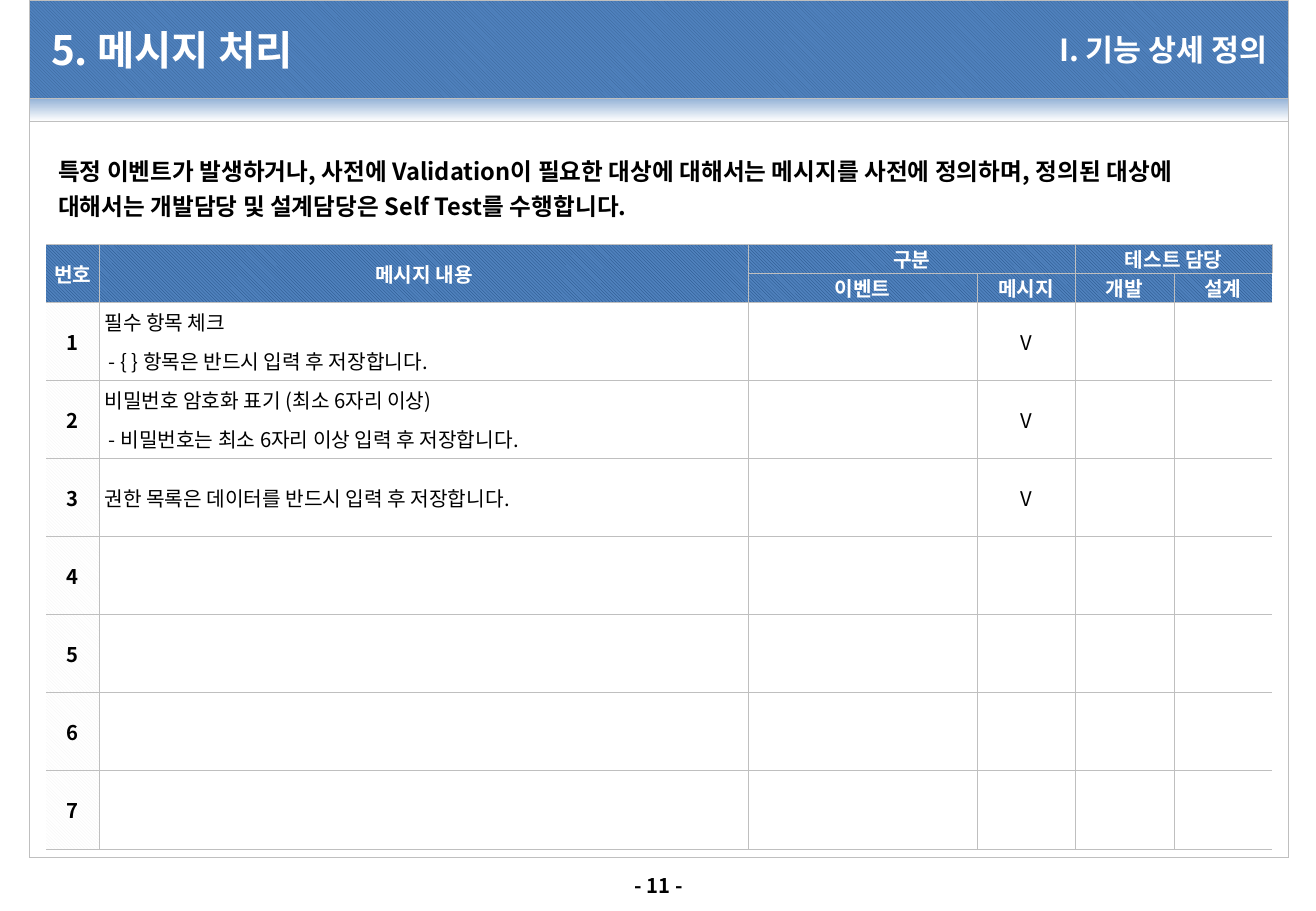
from dataclasses import dataclass

from lxml.etree import SubElement
from pptx import Presentation
from pptx.dml.color import RGBColor
from pptx.enum.dml import MSO_LINE, MSO_PATTERN
from pptx.enum.shapes import MSO_SHAPE
from pptx.enum.text import MSO_ANCHOR as Anchor, MSO_AUTO_SIZE, PP_ALIGN as Align
from pptx.oxml.ns import qn
from pptx.util import Inches, Pt


@dataclass(frozen=True)
class Theme:
    """Colours, font and type sizes of the slide."""
    font: str = "Noto Sans CJK KR"
    white: str = "FFFFFF"
    ink: str = "000000"
    rule: str = "BFBFBF"
    band: str = "4F81BD"
    band_hatch: str = "376092"
    head_hatch: str = "1F497D"
    number_hatch: str = "F2F2F2"
    glow: str = "95B3D7"
    title_size: int = 24
    section_size: int = 18
    lead_size: int = 14
    text_size: int = 12
    rule_width: float = 0.25


THEME = Theme()
rgb = RGBColor.from_string

HEAD_CELLS = [  # row, column, last row, last column, label
    (0, 0, 1, 0, "번호"),
    (0, 1, 1, 1, "메시지 내용"),
    (0, 2, 0, 3, "구분"),
    (0, 4, 0, 5, "테스트 담당"),
    (1, 2, 1, 2, "이벤트"),
    (1, 3, 1, 3, "메시지"),
    (1, 4, 1, 4, "개발"),
    (1, 5, 1, 5, "설계"),
]
MESSAGES = [
    "필수 항목 체크\n - { } 항목은 반드시 입력 후 저장합니다.",
    "비밀번호 암호화 표기 (최소 6자리 이상)\n - 비밀번호는 최소 6자리 이상 입력 후 저장합니다.",
    "권한 목록은 데이터를 반드시 입력 후 저장합니다.",
]
ROW_COUNT = 7
HEAD_ROWS = 2
COLUMN_WIDTHS = [0.44, 5.34, 1.88, 0.81, 0.81, 0.81]


def place(shape, box):
    """Move a shape to a box given in inches."""
    shape.left, shape.top, shape.width, shape.height = map(Inches, box)


def style_text(frame, size, color, bold=True, align=Align.LEFT):
    """Format every paragraph and run of a text frame."""
    for paragraph in frame.paragraphs:
        paragraph.alignment = align
        for run in paragraph.runs:
            run.font.name, run.font.size, run.font.bold = THEME.font, Pt(size), bold
            run.font.color.rgb = rgb(color)
            SubElement(run.font._element, qn("a:ea"), typeface=THEME.font)


def fill_hatch(fill, fore, back):
    """Fill with light downward diagonals."""
    fill.patterned()
    fill.pattern = MSO_PATTERN.LIGHT_DOWNWARD_DIAGONAL
    fill.fore_color.rgb, fill.back_color.rgb = rgb(fore), rgb(back)


def add_panel(slide, box):
    """Add a rectangle with a thin dotted outline."""
    panel = slide.shapes.add_shape(MSO_SHAPE.RECTANGLE, *map(Inches, box))
    panel.shadow.inherit = False
    panel.line.color.rgb = rgb(THEME.rule)
    panel.line.width = Pt(THEME.rule_width)
    panel.line.dash_style = MSO_LINE.ROUND_DOT
    return panel


def add_label(slide, box, text, size, color, align, anchor=Anchor.TOP):
    """Add a bold, wrapped text box."""
    label = slide.shapes.add_textbox(*map(Inches, box))
    frame = label.text_frame
    frame.word_wrap = True
    frame.vertical_anchor = anchor
    frame.text = text
    style_text(frame, size, color, align=align)
    return frame


def set_margins(frame, side, vertical):
    """Set the inner margins of a text frame or cell, in inches."""
    frame.margin_left = frame.margin_right = Inches(side)
    frame.margin_top = frame.margin_bottom = Inches(vertical)


def add_page_frame(slide, box):
    """Draw the glow strip, the content area and the page number."""
    left, top, width, height = box
    strip_height = 0.19
    glow = add_panel(slide, (left, top, width, strip_height))
    glow.fill.gradient()
    glow.fill.gradient_angle = 270
    for stop, color, position in zip(glow.fill.gradient_stops, (THEME.glow, THEME.white), (0, 1)):
        stop.color.rgb, stop.position = rgb(color), position
    content = add_panel(slide, (left, top + strip_height, width, height - strip_height))
    content.fill.solid()
    content.fill.fore_color.rgb = rgb(THEME.white)
    page_box = (left + width / 2 - 0.34, top + height + 0.08, 0.68, 0.3)
    add_label(slide, page_box, "- 11 -", THEME.text_size, THEME.ink, Align.CENTER)


def add_header(slide, box, heading, section):
    """Draw the hatched band with the slide title and the section name."""
    left, top, width, height = box
    band = add_panel(slide, box)
    fill_hatch(band.fill, THEME.band_hatch, THEME.band)
    section_width, title_width, pad = 3.4, 6.69, 0.14
    text_top, text_height = top + 0.08, height - 0.15

    title = slide.shapes.title
    slide.shapes._spTree.append(title._element)
    place(title, (left + pad, text_top, title_width, text_height))
    title.text_frame.text = heading
    title.text_frame.auto_size = MSO_AUTO_SIZE.NONE
    title.text_frame.vertical_anchor = Anchor.MIDDLE
    set_margins(title.text_frame, 0.04, 0.04)
    style_text(title.text_frame, THEME.title_size, THEME.white)

    section_box = (left + pad + title_width, text_top, section_width, text_height)
    section_frame = add_label(slide, section_box, section, THEME.section_size,
                              THEME.white, Align.RIGHT, Anchor.MIDDLE)
    set_margins(section_frame, 0.04, 0.04)


def add_lead(slide, box, text):
    """Add the introductory paragraph."""
    frame = add_label(slide, box, text, THEME.lead_size, THEME.ink, Align.LEFT)
    frame.margin_top = Inches(0.08)
    frame.paragraphs[0].line_spacing = 1.23


def rule_cell(cell, open_sides):
    """Draw thin borders on a cell, leaving the open sides bare."""
    properties = cell._tc.get_or_add_tcPr()
    for index, side in enumerate(("lnL", "lnR", "lnT", "lnB")):
        border = SubElement(properties, qn(f"a:{side}"), w=str(Pt(THEME.rule_width)))
        properties.insert(index, border)
        if side in open_sides:
            SubElement(border, qn("a:noFill"))
        else:
            paint = SubElement(border, qn("a:solidFill"))
            SubElement(paint, qn("a:srgbClr"), val=THEME.rule)


def write_cell(cell, text, color=THEME.ink, bold=False, align=Align.CENTER):
    """Put formatted text in a table cell."""
    cell.text_frame.text = text
    style_text(cell.text_frame, THEME.text_size, color, bold, align)
    for paragraph in cell.text_frame.paragraphs[1:]:
        paragraph.space_before = Pt(6)


def add_message_table(slide, box):
    """Build the message table with its two-level head."""
    row_total = HEAD_ROWS + ROW_COUNT
    table = slide.shapes.add_table(row_total, len(COLUMN_WIDTHS), *map(Inches, box)).table
    table.first_row = table.horz_banding = False
    head_height = 0.24
    body_height = (box[3] - HEAD_ROWS * head_height) / ROW_COUNT
    for column, width in zip(table.columns, COLUMN_WIDTHS):
        column.width = Inches(width)
    last_column = len(COLUMN_WIDTHS) - 1
    for r, row in enumerate(table.rows):
        row.height = Inches(head_height if r < HEAD_ROWS else body_height)
        for c, cell in enumerate(row.cells):
            cell.vertical_anchor = Anchor.MIDDLE
            set_margins(cell, 0.04, 0)
            if r < HEAD_ROWS:
                fill_hatch(cell.fill, THEME.head_hatch, THEME.band)
            elif c == 0:
                fill_hatch(cell.fill, THEME.number_hatch, THEME.white)
            else:
                cell.fill.solid()
                cell.fill.fore_color.rgb = rgb(THEME.white)
            rule_cell(cell, {0: ("lnL",), last_column: ("lnR",)}.get(c, ()))

    for top, left, bottom, right, label in HEAD_CELLS:
        if (top, left) != (bottom, right):
            table.cell(top, left).merge(table.cell(bottom, right))
        write_cell(table.cell(top, left), label, THEME.white, bold=True)
    for number in range(1, ROW_COUNT + 1):
        write_cell(table.cell(HEAD_ROWS + number - 1, 0), str(number), bold=True)
    for r, message in enumerate(MESSAGES, HEAD_ROWS):
        write_cell(table.cell(r, 1), message, align=Align.LEFT)
        write_cell(table.cell(r, 3), "V")


deck = Presentation()
deck.slide_width, deck.slide_height = Inches(10.83), Inches(7.5)
message_slide = deck.slides.add_slide(deck.slide_layouts[5])
add_page_frame(message_slide, (0.24, 0.81, 10.36, 6.25))
add_header(message_slide, (0.24, 0, 10.36, 0.81), "5. 메시지 처리", "I. 기능 상세 정의")
add_lead(message_slide, (0.38, 1.16, 10.09, 0.86),
         "특정 이벤트가 발생하거나, 사전에 Validation이 필요한 대상에 대해서는 메시지를 사전에 정의하며, "
         "정의된 대상에 대해서는 개발담당 및 설계담당은 Self Test를 수행합니다.")
add_message_table(message_slide, (0.38, 2.01, 10.09, 4.98))
deck.save("out.pptx")
